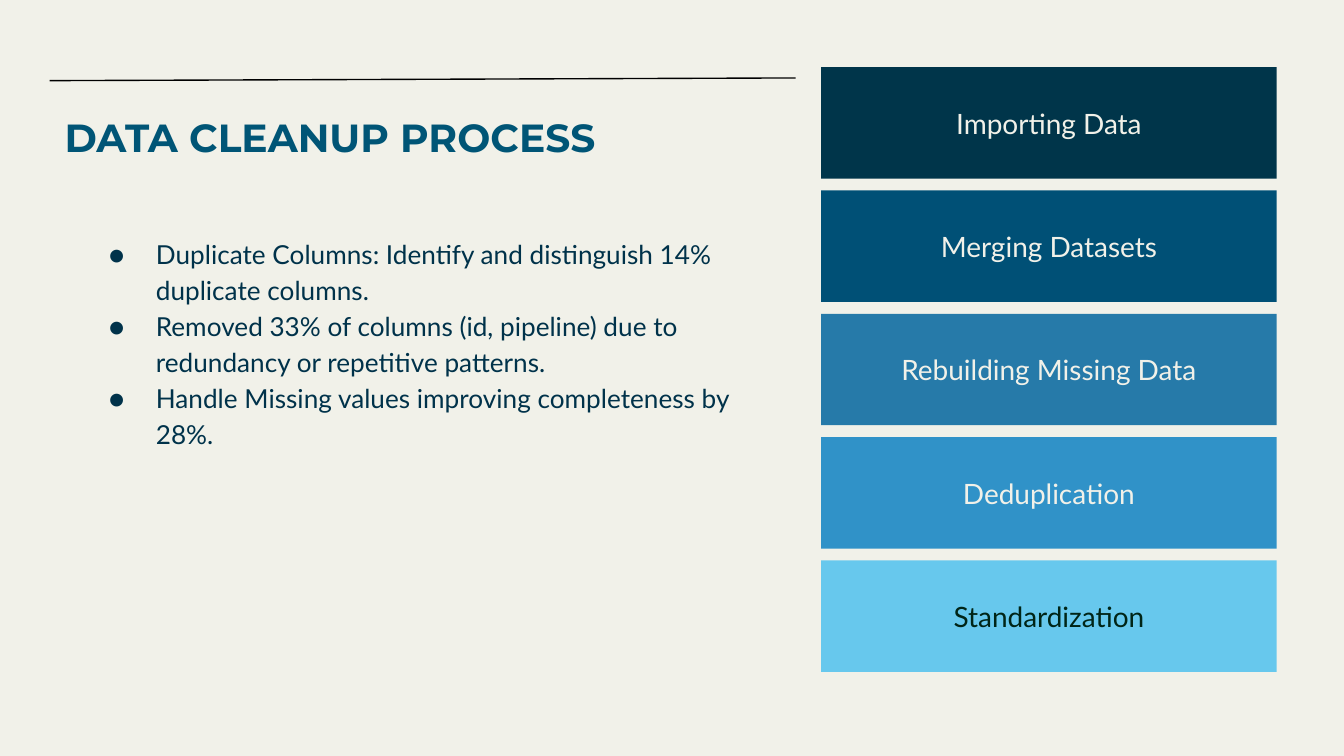
from lxml import etree
from pptx import Presentation
from pptx import util as u
from pptx.dml.color import RGBColor
from pptx.enum import shapes, text
from pptx.oxml.ns import qn

COLORS = {
    "background": "F1F1E9",
    "title": "005576",
    "body": "00324A",
    "rule": "000000",
    "light_text": "F1F1E9",
    "dark_text": "002517",
}
TITLE = "DATA CLEANUP PROCESS"
FINDINGS = [
    "Duplicate Columns: Identify and distinguish 14% duplicate columns.",
    "Removed 33% of columns (id, pipeline) due to redundancy or repetitive patterns.",
    "Handle Missing values improving completeness by 28%.",
]
STEPS = [
    ("Importing Data", "00354A", "light_text"),
    ("Merging Datasets", "005076", "light_text"),
    ("Rebuilding Missing Data", "267AA9", "light_text"),
    ("Deduplication", "3092C8", "light_text"),
    ("Standardization", "67C8ED", "dark_text"),
]
FIRST_STEP_TOP = 0.5
LAST_STEP_TOP = 4.17
STEP_PITCH = (LAST_STEP_TOP - FIRST_STEP_TOP) / (len(STEPS) - 1)


def rgb(name):
    return RGBColor.from_string(COLORS[name])


def prepare_frame(frame, anchor):
    frame.word_wrap = True
    frame.auto_size = text.MSO_AUTO_SIZE.NONE
    frame.vertical_anchor = anchor
    frame.margin_left = frame.margin_right = u.Inches(0.1)
    frame.margin_top = frame.margin_bottom = u.Inches(0.1)


def format_runs(paragraph, font_name, size, color, bold=False):
    for run in paragraph.runs:
        run.font.name = font_name
        run.font.size = u.Pt(size)
        run.font.bold = bold
        run.font.color.rgb = rgb(color)


def add_bullet(paragraph, color):
    properties = paragraph._p.get_or_add_pPr()
    properties.set("marL", str(u.Inches(0.68)))
    properties.set("indent", str(u.Inches(-0.35)))
    bullet_color = etree.SubElement(properties, qn("a:buClr"))
    etree.SubElement(bullet_color, qn("a:srgbClr"), val=COLORS[color])
    etree.SubElement(properties, qn("a:buFont"), typeface="Lato")
    etree.SubElement(properties, qn("a:buChar"), char="●")


def fill_title(slide):
    title = slide.shapes.title
    title.left, title.top = u.Inches(0.38), u.Inches(0.74)
    title.width, title.height = u.Inches(5.55), u.Inches(4.5)
    frame = title.text_frame
    prepare_frame(frame, text.MSO_ANCHOR.TOP)
    frame.text = "\n".join([TITLE, *FINDINGS])
    heading, *findings = frame.paragraphs
    heading.alignment = text.PP_ALIGN.LEFT
    heading.line_spacing = 1.0
    format_runs(heading, "Montserrat", 21, "title", bold=True)
    for paragraph in findings:
        paragraph.alignment = text.PP_ALIGN.LEFT
        paragraph.line_spacing = 1.15
        paragraph.space_before = u.Pt(0)
        add_bullet(paragraph, "body")
        format_runs(paragraph, "Lato", 14, "body")
    findings[0].space_before = u.Pt(39.5)


def add_step(slide, index, label, fill, text_color):
    top = FIRST_STEP_TOP + index * STEP_PITCH
    step = slide.shapes.add_shape(
        shapes.MSO_SHAPE.RECTANGLE,
        u.Inches(6.11), u.Inches(top), u.Inches(3.39), u.Inches(0.83),
    )
    step.shadow.inherit = False
    step.fill.solid()
    step.fill.fore_color.rgb = RGBColor.from_string(fill)
    step.line.fill.background()
    prepare_frame(step.text_frame, text.MSO_ANCHOR.MIDDLE)
    step.text_frame.text = label
    paragraph = step.text_frame.paragraphs[0]
    paragraph.alignment = text.PP_ALIGN.CENTER
    format_runs(paragraph, "Lato", 15, text_color)


def add_rule(slide):
    rule = slide.shapes.add_connector(
        shapes.MSO_CONNECTOR.STRAIGHT,
        u.Inches(0.37), u.Inches(0.6), u.Inches(5.92), u.Inches(0.58),
    )
    rule.line.color.rgb = rgb("rule")
    rule.line.width = u.Pt(0.75)
    etree.SubElement(rule._element.spPr, qn("a:effectLst"))


def main():
    presentation = Presentation()
    presentation.slide_width = u.Inches(10)
    presentation.slide_height = u.Inches(10 * 9 / 16)
    slide = presentation.slides.add_slide(presentation.slide_layouts[5])
    slide.background.fill.solid()
    slide.background.fill.fore_color.rgb = rgb("background")
    fill_title(slide)
    for index, (label, fill, text_color) in enumerate(STEPS):
        add_step(slide, index, label, fill, text_color)
    add_rule(slide)
    presentation.save("out.pptx")


if __name__ == "__main__":
    main()
